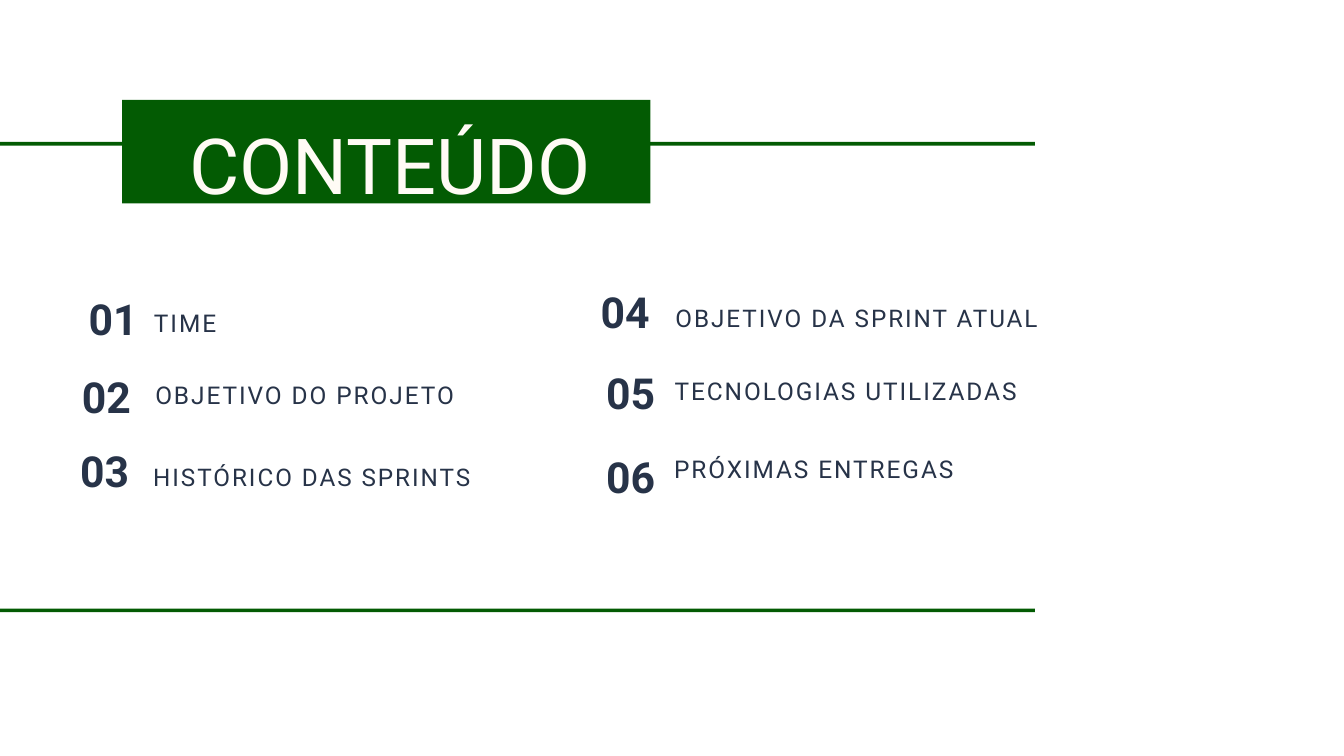
import pptx
import pptx.dml.color
import pptx.enum.shapes
import pptx.enum.text
import pptx.util

Cm, Pt = pptx.util.Cm, pptx.util.Pt
ALIGN = pptx.enum.text.PP_ALIGN

GREEN, CREAM, NAVY = "035B03", "FFFBF5", "273348"
NUMBER_WIDTH, NUMBER_HEIGHT, TOPIC_HEIGHT = 2.4, 1.74, 1.24

heading = "CONTEÚDO"
bands = [
    (0, 23.01, 39.12, 0.13),
    (0, 5.36, 39.12, 0.15),
    (4.62, 3.78, 19.96, 3.91),
]
# number right, number top, topic, left, top, width, size
topics = [
    (5.21, 11.25, "TIME", 5.82, 11.46, 10.9, 26.2),
    (4.95, 14.2, "OBJETIVO DO PROJETO", 5.87, 14.2, 12.34, 26.2),
    (4.88, 17.02, "HISTÓRICO DAS SPRINTS", 5.79, 17.27, 13.41, 26),
    (24.56, 11, "OBJETIVO DA SPRINT ATUAL", 25.53, 11.28, 14.48, 26),
    (24.77, 14.07, "TECNOLOGIAS UTILIZADAS", 25.5, 14.05, 14.33, 26.2),
    (24.77, 17.25, "PRÓXIMAS ENTREGAS", 25.48, 16.99, 12.04, 26.2),
]


def color(value):
    return pptx.dml.color.RGBColor.from_string(value)


def add_band(slide, box):
    band = slide.shapes.add_shape(
        pptx.enum.shapes.MSO_SHAPE.RECTANGLE, *map(Cm, box))
    band.shadow.inherit = False
    band.fill.solid()
    band.fill.fore_color.rgb = color(GREEN)
    band.line.fill.background()


def add_text(slide, text, box, *, size, leading, fill=NAVY, bold=False,
             align=ALIGN.LEFT, tracking=0):
    frame = slide.shapes.add_textbox(*map(Cm, box)).text_frame
    frame.word_wrap = True
    frame.auto_size = pptx.enum.text.MSO_AUTO_SIZE.SHAPE_TO_FIT_TEXT
    frame.margin_left = frame.margin_right = 0
    frame.margin_top = frame.margin_bottom = 0
    paragraph = frame.paragraphs[0]
    paragraph.alignment = align
    paragraph.line_spacing = Pt(leading)
    run = paragraph.add_run()
    run.text = text
    run.font.name = "Roboto"
    run.font.size = Pt(size)
    run.font.bold = bold
    run.font.color.rgb = color(fill)
    if tracking:
        run.font._element.set("spc", str(round(tracking * 100)))


def main():
    deck = pptx.Presentation()
    deck.slide_width, deck.slide_height = Cm(50.8), Cm(28.58)
    slide = deck.slides.add_slide(deck.slide_layouts[6])

    for band in bands:
        add_band(slide, band)
    add_text(slide, heading, (5.38, 3.84, 18.72, 4.09), size=82.8,
             leading=116, fill=CREAM, align=ALIGN.CENTER)

    for number, (right, number_top, topic, left, top, width, size) in enumerate(topics, 1):
        add_text(slide, f"{number:02}",
                 (right - NUMBER_WIDTH, number_top, NUMBER_WIDTH, NUMBER_HEIGHT),
                 size=45.8, leading=49.4, bold=True, align=ALIGN.RIGHT)
        add_text(slide, topic, (left, top, width, TOPIC_HEIGHT),
                 size=size, leading=36.6, tracking=2.1)

    deck.save("out.pptx")


if __name__ == "__main__":
    main()
